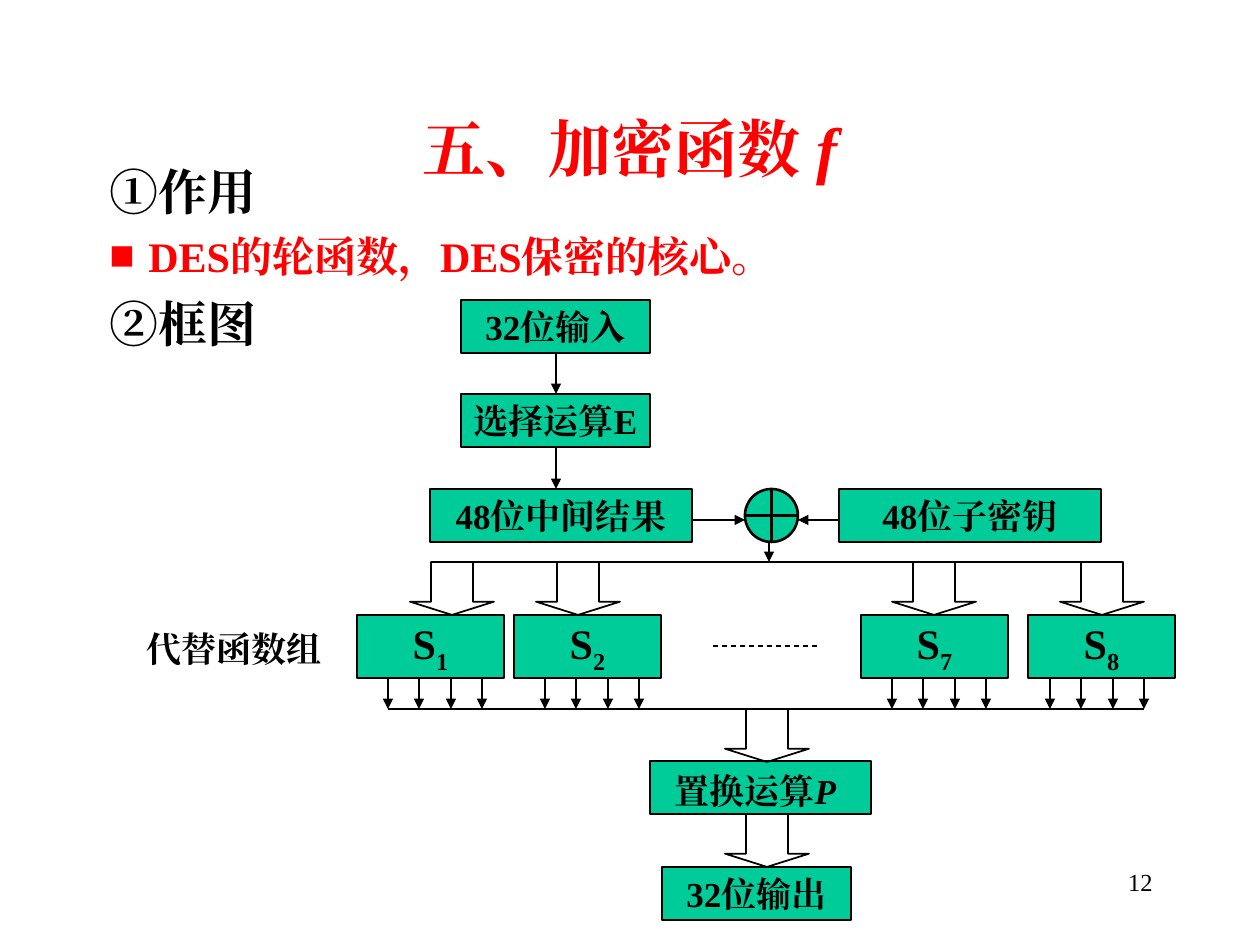
from lxml import etree
from pptx import Presentation
from pptx.dml.color import RGBColor
from pptx.enum.dml import MSO_LINE
from pptx.enum.shapes import MSO_CONNECTOR, MSO_SHAPE
from pptx.enum.text import MSO_ANCHOR, PP_ALIGN
from pptx.oxml.ns import qn
from pptx.util import Pt

RECT, DOWN, XOR = MSO_SHAPE.RECTANGLE, MSO_SHAPE.DOWN_ARROW, MSO_SHAPE.FLOWCHART_OR
STRAIGHT, DASH = MSO_CONNECTOR.STRAIGHT, MSO_LINE.DASH
LEFT, CENTER, RIGHT = PP_ALIGN.LEFT, PP_ALIGN.CENTER, PP_ALIGN.RIGHT
TOP, MIDDLE, BOTTOM = MSO_ANCHOR.TOP, MSO_ANCHOR.MIDDLE, MSO_ANCHOR.BOTTOM

THEME = {
    "font": "Times New Roman",
    "ink": RGBColor(0, 0, 0),
    "accent": RGBColor(255, 0, 0),
    "block": RGBColor(0, 204, 153),
    "title": 36, "heading": 28, "point": 24, "sbox": 24, "label": 20, "number": 14,
    "border": 1.5, "wire": 1, "dots": 0.75,
}

TITLE = [("五、加密函数 ", {}), ("f", {"italic": True})]
OUTLINE = [
    ("①作用", "heading", "ink", 0, None),
    ("DES的轮函数，DES保密的核心。", "point", "accent", 6, "■"),
    ("②框图", "heading", "ink", 7, None),
]
BLOCK_H, FUNNEL_W, SBOX_W, SBOX_H = 53, 84, 147, 63
BUS_IN, SBOX_Y, BUS_OUT = 562, 615, 709
BLOCKS = [
    ([("32位输入", {})], 461, 300, 189),
    ([("选择运算E", {})], 461, 394, 189),
    ([("48位中间结果", {})], 430, 489, 262),
    ([("48位子密钥", {})], 839, 489, 262),
    ([("置换运算", {}), ("P", {"italic": True}), (" ", {"size": Pt(24)})], 650, 761, 221),
    ([("32位输出", {})], 662, 867, 189),
]
SBOXES = [("1", 357, 410, 388), ("2", 514, 536, 545), ("7", 861, 892, 892), ("8", 1028, 1060, 1050)]
OUTPUT_FUNNELS = [(725, BUS_OUT), (725, 814)]
FLOWS = [
    (556, 352, 556, 394), (556, 446, 556, 489), (693, 520, 745, 520),
    (839, 520, 798, 520), (769, 541, 769, BUS_IN),
]
BUSES = [(473, BUS_IN, 1123, BUS_IN), (388, BUS_OUT, 1144, BUS_OUT)]


def px(n):
    return round(n * 914400 / 126)


def add_run(paragraph, text, size, color="ink", bold=True, extra=None):
    run = paragraph.add_run()
    run.text = text
    run.font.color.rgb = THEME[color]
    style = {"name": THEME["font"], "size": Pt(THEME[size]), "bold": bold, **(extra or {})}
    baseline = style.pop("baseline", None)
    for name, value in style.items():
        setattr(run.font, name, value)
    properties = run.font._element
    if baseline:
        properties.set("baseline", baseline)
    etree.SubElement(properties, qn("a:ea"), typeface=THEME["font"])


def write(shape, runs, size, color="ink", bold=True, align=CENTER, anchor=MIDDLE, wrap=False):
    frame = shape.text_frame
    for name, value in {"word_wrap": wrap, "vertical_anchor": anchor}.items():
        setattr(frame, name, value)
    paragraph = frame.paragraphs[0]
    paragraph.alignment = align
    for text, extra in runs:
        add_run(paragraph, text, size, color, bold, extra)


def add_part(kind, x, y, w, h, line="border", filled=True):
    part = slide.shapes.add_shape(kind, *map(px, (x, y, w, h)))
    part.shadow.inherit = False
    if filled:
        part.fill.solid()
        part.fill.fore_color.rgb = THEME["block"]
    else:
        part.fill.background()
    part.line.color.rgb = THEME["ink"]
    part.line.width = Pt(THEME[line])
    return part


def add_funnel(x, y):
    funnel = add_part(DOWN, x, y, FUNNEL_W, BLOCK_H, "wire", False)
    funnel.adjustments[0], funnel.adjustments[1] = 0.5, 0.25


def add_wire(points, width="wire", arrow=False, dash=None):
    wire = slide.shapes.add_connector(STRAIGHT, *map(px, points))
    wire.line.color.rgb = THEME["ink"]
    wire.line.width = Pt(THEME[width])
    if dash:
        wire.line.dash_style = dash
    if arrow:
        etree.SubElement(wire.line._get_or_add_ln(), qn("a:tailEnd"), type="triangle")
    etree.SubElement(wire._element.spPr, qn("a:effectLst"))


def add_text(x, y, w, h):
    return slide.shapes.add_textbox(*map(px, (x, y, w, h)))


def add_outline():
    frame = add_text(34, 155, 1226, 790).text_frame
    frame.word_wrap = True
    for i, (text, size, color, before, bullet) in enumerate(OUTLINE):
        paragraph = frame.add_paragraph() if i else frame.paragraphs[0]
        paragraph.space_before = Pt(before)
        properties = paragraph._p.get_or_add_pPr()
        properties.set("marL", str(px(102)))
        properties.set("indent", str(px(-39)))
        if bullet:
            tint = etree.SubElement(properties, qn("a:buClr"))
            etree.SubElement(tint, qn("a:srgbClr"), val=str(THEME[color]))
            etree.SubElement(properties, qn("a:buFont"), typeface=THEME["font"])
            etree.SubElement(properties, qn("a:buChar"), char=bullet)
        else:
            etree.SubElement(properties, qn("a:buNone"))
        add_run(paragraph, text, size, color)


deck = Presentation()
deck.slide_width, deck.slide_height = px(1260), px(945)
slide = deck.slides.add_slide(deck.slide_layouts[6])

write(add_text(903, 861, 262, 63), [("12", {})], "number", bold=False, align=RIGHT, anchor=TOP, wrap=True)
add_outline()

for runs, x, y, w in BLOCKS:
    write(add_part(RECT, x, y, w, BLOCK_H), runs, "label")
add_part(XOR, 745, 489, BLOCK_H, BLOCK_H)

for index, x, funnel_x, port_x in SBOXES:
    sbox = add_part(RECT, x, SBOX_Y, SBOX_W, SBOX_H)
    write(sbox, [("S", {}), (index, {"baseline": "-25000"})], "sbox")
    add_funnel(funnel_x, BUS_IN)
    for port in range(4):
        out_x = port_x + port * 63 // 2
        add_wire((out_x, SBOX_Y + SBOX_H, out_x, BUS_OUT), arrow=True)

for x, y in OUTPUT_FUNNELS:
    add_funnel(x, y)
for flow in FLOWS:
    add_wire(flow, arrow=True)
for bus in BUSES:
    add_wire(bus)
add_wire((713, 646, 819, 646), "dots", dash=DASH)

write(add_text(134, 621, 218, 55), [("代替函数组", {})], "label", align=LEFT, anchor=TOP, wrap=True)
write(add_text(0, 76, 1260, 115), TITLE, "title", "accent", anchor=BOTTOM, wrap=True)

deck.save("out.pptx")
